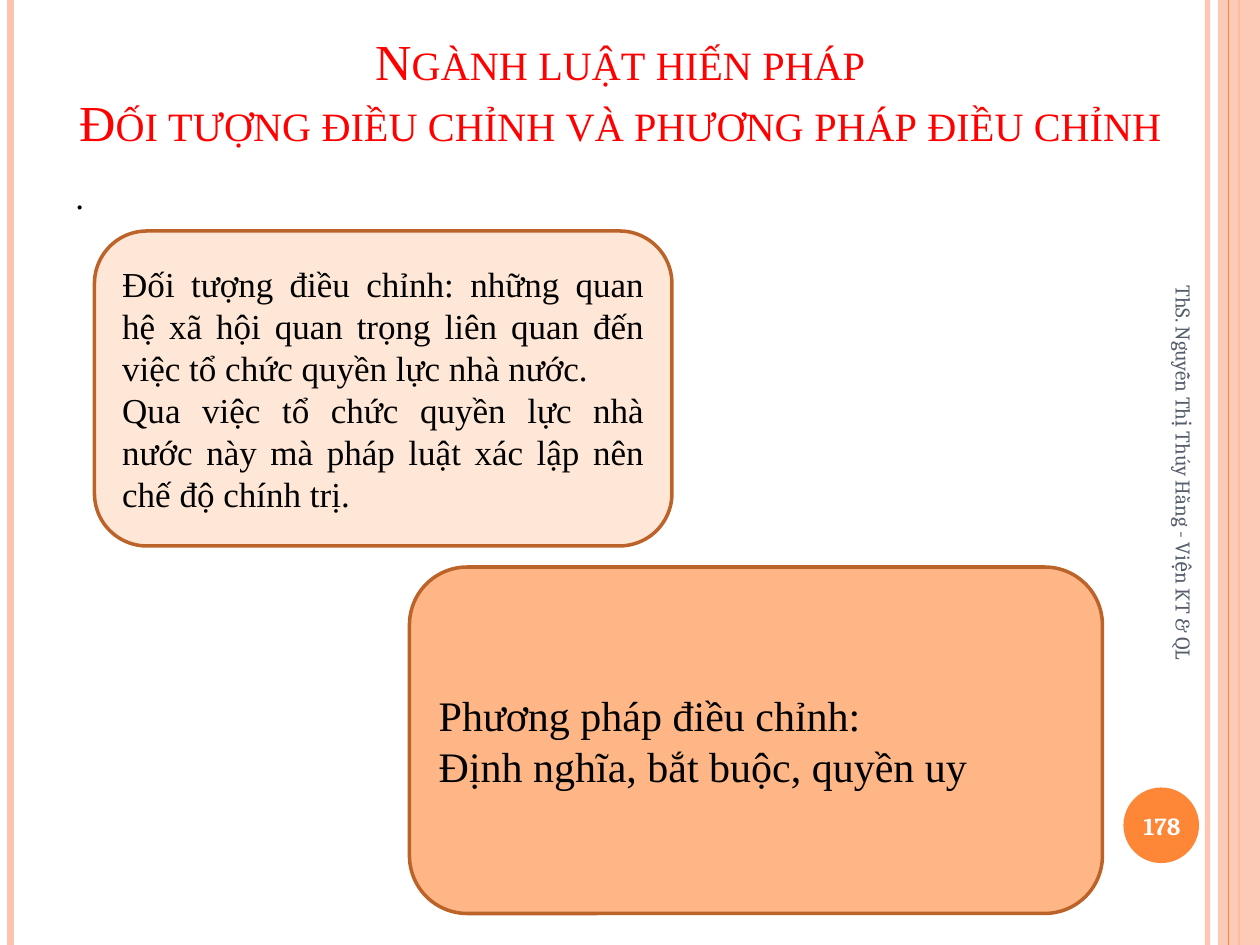
import pptx
import pptx.util
import pptx.dml.color
import pptx.enum.shapes
import pptx.enum.text
from lxml import etree

Pt = pptx.util.Pt
SHAPE = pptx.enum.shapes.MSO_SHAPE
ALIGN = pptx.enum.text.PP_ALIGN
ANCHOR = pptx.enum.text.MSO_ANCHOR
WIDTH, HEIGHT = 720, 540
SERIF, FOOTER_FONT = "Times New Roman", "Cambria"
ORANGE, PALE, BROWN, BLACK = "FE8637", "FEC3AE", "BC6329", "000000"

TITLE = "Ngành luật hiến pháp\vĐối tượng điều chỉnh và phương pháp điều chỉnh"
CARDS = [
    ((54, 132, 330, 180), "FFE7D7", 20, [
        "Đối tượng điều chỉnh: những quan hệ xã hội quan trọng liên quan đến "
        "việc tổ chức quyền lực nhà nước.",
        "Qua việc tổ chức quyền lực nhà nước này mà pháp luật xác lập nên "
        "chế độ chính trị."]),
    ((234, 324, 396, 198), "FEB687", 24, [
        "Phương pháp điều chỉnh:",
        "Định nghĩa, bắt buộc, quyền uy"]),
]
AUTHOR = "ThS. Nguyễn Thị Thúy Hằng - Viện KT & QL"
PAGE_NUMBER = "178"
BACK_RULES = [(690, PALE, 3, 93), (6, PALE, 4.5, 100), (708, ORANGE, 1.5, 100)]
FRONT_RULE = (702, ORANGE, 0.75, 100)


def color(value):
    return pptx.dml.color.RGBColor.from_string(value)


def qualified(name):
    return pptx.oxml.ns.qn(name)


def set_opacity(element, percent):
    for tone in element.iter(qualified("a:srgbClr")):
        etree.SubElement(tone, qualified("a:alpha"), val=str(percent * 1000))


def add_rule(page, left, tone, weight, opacity):
    rule = page.shapes.add_connector(
        pptx.enum.shapes.MSO_CONNECTOR.STRAIGHT, Pt(left), Pt(0), Pt(left), Pt(HEIGHT))
    rule.line.color.rgb = color(tone)
    rule.line.width = Pt(weight)
    properties = rule._element.spPr
    if opacity < 100:
        set_opacity(properties, opacity)
    etree.SubElement(properties, qualified("a:effectLst"))


def add_shape(page, kind, place, fill, line=None):
    shape = page.shapes.add_shape(kind, *map(Pt, place))
    shape.shadow.inherit = False
    shape.fill.solid()
    shape.fill.fore_color.rgb = color(fill)
    if line:
        shape.line.color.rgb = color(line)
        shape.line.width = Pt(2)
    else:
        shape.line.fill.background()
    return shape


def write(box, lines, size, font, tone, align, anchor, bold=False):
    frame = box.text_frame
    frame.word_wrap = True
    frame.auto_size = pptx.enum.text.MSO_AUTO_SIZE.NONE
    frame.vertical_anchor = anchor
    frame.text = "\n".join(lines)
    for para in frame.paragraphs:
        para.alignment = align
        for span in para.runs:
            span.font.size = Pt(size)
            span.font.name = font
            span.font.bold = bold
            span.font.color.rgb = color(tone)


def add_text(page, place, *style, **options):
    box = page.shapes.add_textbox(*map(Pt, place))
    write(box, *style, **options)
    return box


def main():
    deck = pptx.Presentation()
    deck.slide_width, deck.slide_height = Pt(WIDTH), Pt(HEIGHT)
    page = deck.slides.add_slide(deck.slide_layouts[5])

    for rule in BACK_RULES:
        add_rule(page, *rule)
    band = add_shape(page, SHAPE.RECTANGLE, (696, 0, 24, HEIGHT), PALE)
    set_opacity(band._element.spPr, 87)
    add_rule(page, *FRONT_RULE)
    add_shape(page, SHAPE.OVAL, (642, 450, 43.2, 43.2), ORANGE)

    title = page.shapes.title
    title.left, title.top, title.width, title.height = map(Pt, (12, 18, 685, 72))
    write(title, [TITLE], 28.8, SERIF, "FF0000", ALIGN.CENTER, ANCHOR.BOTTOM)
    for span in title.text_frame.paragraphs[0].runs:
        span.font._element.set("cap", "small")

    add_text(page, (36, 96, 666, 420), ["."], 20, SERIF, BLACK, ALIGN.LEFT, ANCHOR.TOP)
    for place, fill, size, lines in CARDS:
        card = add_shape(page, SHAPE.ROUNDED_RECTANGLE, place, fill, BROWN)
        write(card, lines, size, SERIF, BLACK, ALIGN.JUSTIFY, ANCHOR.MIDDLE)

    author = add_text(page, (537, 281, 279, 29), [AUTHOR], 12, FOOTER_FONT,
                      "575F6D", ALIGN.LEFT, ANCHOR.MIDDLE)
    author.rotation = 90
    add_text(page, (640, 451.5, 48, 41), [PAGE_NUMBER], 14, FOOTER_FONT,
             "FFFFFF", ALIGN.CENTER, ANCHOR.MIDDLE, bold=True)
    deck.save("out.pptx")


if __name__ == "__main__":
    main()
